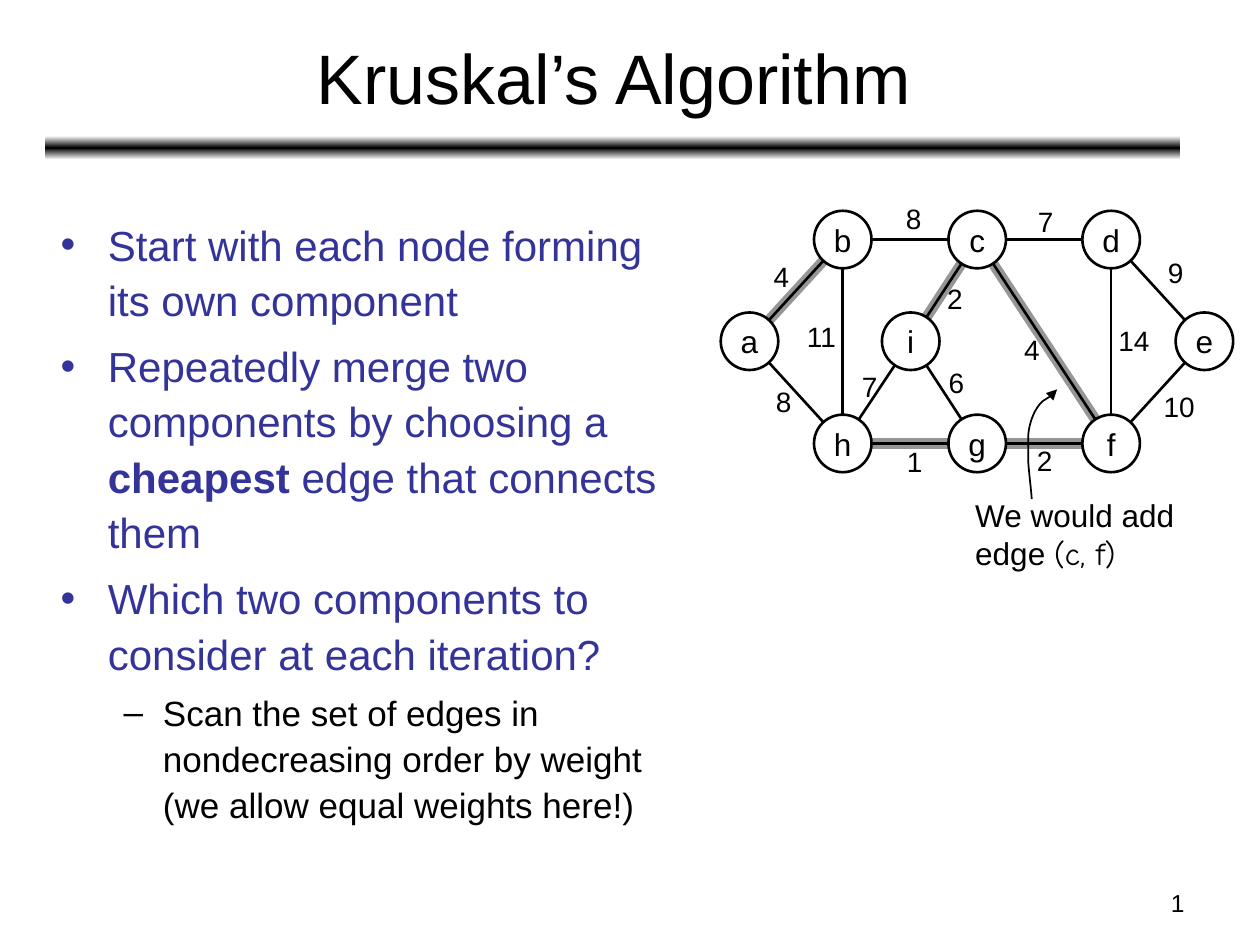
from copy import deepcopy
from math import hypot
from typing import NamedTuple

from lxml import etree
from pptx import Presentation
from pptx.dml.color import RGBColor
from pptx.enum.shapes import MSO_CONNECTOR, MSO_SHAPE
from pptx.enum.text import MSO_ANCHOR, MSO_AUTO_SIZE, PP_ALIGN
from pptx.oxml.ns import qn
from pptx.util import Cm, Pt

OVAL, ROUND = MSO_SHAPE.OVAL, MSO_SHAPE.ROUNDED_RECTANGLE
STRAIGHT = MSO_CONNECTOR.STRAIGHT
MIDDLE = MSO_ANCHOR.MIDDLE
NO_FIT = MSO_AUTO_SIZE.NONE
LEFT, CENTER, RIGHT = PP_ALIGN.LEFT, PP_ALIGN.CENTER, PP_ALIGN.RIGHT

BLACK = RGBColor(0x00, 0x00, 0x00)
WHITE = RGBColor(0xFF, 0xFF, 0xFF)
GRAY = RGBColor(0x96, 0x96, 0x96)
BLUE = RGBColor(0x33, 0x33, 0x99)

RADIUS = 0.58


class Node(NamedTuple):
    x: float
    y: float


class Edge(NamedTuple):
    ends: str
    cost: int
    x: float  # centre of the cost label
    y: float
    chosen: bool = False


class Item(NamedTuple):
    runs: list  # (text, bold)
    level: int = 0


class Style(NamedTuple):
    mark: str
    size: int
    color: RGBColor
    left: float
    hang: float
    before: int


TOP, MID, LOW = 4.83, 6.88, 8.94
NODES = {
    "a": Node(15.11, MID), "b": Node(16.99, TOP), "c": Node(19.7, TOP),
    "d": Node(22.4, TOP), "e": Node(24.28, MID), "h": Node(16.99, LOW),
    "g": Node(19.7, LOW), "f": Node(22.4, LOW), "i": Node(18.36, MID),
}
EDGES = [
    Edge("ab", 4, 15.75, 5.58, True), Edge("bc", 8, 18.42, 4.41),
    Edge("cd", 7, 21.08, 4.46), Edge("ah", 8, 15.8, 8.09),
    Edge("bh", 11, 16.56, 6.79), Edge("hg", 1, 18.44, 9.31, True),
    Edge("gf", 2, 21.06, 9.28, True), Edge("hi", 7, 17.53, 7.79),
    Edge("ci", 2, 19.25, 6.03, True), Edge("cf", 4, 20.8, 7.05, True),
    Edge("df", 14, 22.86, 6.87), Edge("de", 9, 23.7, 5.5),
    Edge("ef", 10, 23.77, 8.19), Edge("ig", 6, 19.28, 7.71),
]
# Start point, then three Bezier points for each piece
CURVE = [
    (20.8, 10.06), (20.78, 9.8), (20.75, 9.58), (20.73, 9.32),
    (20.73, 9.14), (20.73, 8.97), (20.73, 8.76),
    (20.75, 8.53), (20.85, 8.23), (21.03, 8.08),
    (21.08, 8.05), (21.11, 8.03), (21.16, 8.0), (21.31, 7.85),
    (21.31, 7.85), (21.31, 7.85),
]
STYLES = [
    Style("•", 24, BLUE, 0.95, 0.95, 6),
    Style("–", 20, BLACK, 2.06, 0.79, 5),
]
ITEMS = [
    Item([("Start with each node forming its own component", False)]),
    Item([("Repeatedly merge two components by choosing a ", False),
          ("cheapest", True), (" edge that connects them", False)]),
    Item([("Which two components to consider at each iteration?", False)]),
    Item([("Scan the set of edges in nondecreasing order by weight "
           "(we allow equal weights here!)", False)], 1),
]


def place(shape, x: float, y: float, w: float, h: float) -> None:
    shape.left, shape.top, shape.width, shape.height = map(Cm, (x, y, w, h))


def set_font(para, size: int, color: RGBColor = BLACK) -> None:
    font = para.font
    font.name, font.size, font.color.rgb = "Arial", Pt(size), color


def add_text(slide, text: str, box: tuple, size: int, align=LEFT,
             wrap: bool = False):
    frame = slide.shapes.add_textbox(*map(Cm, box)).text_frame
    frame.word_wrap = wrap
    frame.text = text
    for para in frame.paragraphs:
        para.alignment = align
        set_font(para, size)
    return frame


def add_edge(slide, edge: Edge, color: RGBColor, width: float) -> None:
    a, b = (NODES[name] for name in edge.ends)
    gap = hypot(b.x - a.x, b.y - a.y)
    dx, dy = (b.x - a.x) * RADIUS / gap, (b.y - a.y) * RADIUS / gap
    line = slide.shapes.add_connector(
        STRAIGHT, Cm(a.x + dx), Cm(a.y + dy), Cm(b.x - dx), Cm(b.y - dy))
    line.line.color.rgb, line.line.width = color, Pt(width)
    etree.SubElement(line._element.spPr, qn("a:effectLst"))


def add_node(slide, name: str, node: Node) -> None:
    oval = slide.shapes.add_shape(
        OVAL, Cm(node.x - RADIUS), Cm(node.y - RADIUS),
        Cm(2 * RADIUS), Cm(2 * RADIUS))
    oval.shadow.inherit = False
    oval.fill.background()
    oval.line.color.rgb, oval.line.width = BLACK, Pt(1.5)
    frame = oval.text_frame
    frame.word_wrap, frame.vertical_anchor = False, MIDDLE
    frame.text = name
    frame.paragraphs[0].alignment = CENTER
    set_font(frame.paragraphs[0], 18)


def add_curve(slide, knots: list, steps: int = 8) -> None:
    points = []
    for k in range(0, len(knots) - 1, 3):
        for n in range(1, steps + 1):
            t = n / steps
            parts = ((1 - t) ** 3, 3 * t * (1 - t) ** 2,
                     3 * t * t * (1 - t), t ** 3)
            points.append(tuple(
                Cm(sum(p * knot[axis] for p, knot in zip(parts, knots[k:k + 4])))
                for axis in (0, 1)))
    pen = slide.shapes.build_freeform(*map(Cm, knots[0]))
    pen.add_line_segments(points, close=False)
    curve = pen.convert_to_shape()
    curve.shadow.inherit = False
    curve.fill.background()
    curve.line.color.rgb, curve.line.width = BLACK, Pt(1)
    etree.SubElement(curve.line._get_or_add_ln(), qn("a:tailEnd"), type="triangle")


def add_bar(slide) -> None:
    bar = slide.shapes.add_shape(ROUND, Cm(0.91), Cm(2.74), Cm(22.89), Cm(0.48))
    bar.shadow.inherit = False
    bar.line.fill.background()
    bar.fill.gradient()
    bar.fill.gradient_angle = 90
    stops = bar._element.spPr.find(".//" + qn("a:gsLst"))
    stops.append(deepcopy(stops[-1]))
    for stop, color, spot in zip(bar.fill.gradient_stops,
                                 (WHITE, BLACK, WHITE), (0, 0.5, 1)):
        stop.color.rgb, stop.position = color, spot


def fill_item(para, item: Item) -> None:
    style = STYLES[item.level]
    para.level = item.level
    para.line_spacing, para.space_before = 1.1, Pt(style.before)
    props = para._p.get_or_add_pPr()
    props.set("marL", str(Cm(style.left)))
    props.set("indent", str(-Cm(style.hang)))
    tint = etree.SubElement(props, qn("a:buClr"))
    etree.SubElement(tint, qn("a:srgbClr"), val=str(style.color))
    etree.SubElement(props, qn("a:buFont"), typeface="Arial")
    etree.SubElement(props, qn("a:buChar"), char=style.mark)
    set_font(para, style.size, style.color)
    for text, bold in item.runs:
        run = para.add_run()
        run.text = text
        if bold:
            run.font.bold = True


def main() -> None:
    deck = Presentation()
    deck.slide_width, deck.slide_height = Cm(25.4), Cm(19.05)
    slide = deck.slides.add_slide(deck.slide_layouts[1])
    add_bar(slide)

    # Title and list
    title, body = slide.placeholders
    place(title, 0.94, 0.28, 22.86, 2.51)
    title.text_frame.text = "Kruskal’s Algorithm"
    title.text_frame.vertical_anchor = MIDDLE
    set_font(title.text_frame.paragraphs[0], 40)
    place(body, 0.97, 4.19, 13.13, 13.11)
    frame = body.text_frame
    frame.auto_size = NO_FIT
    for n, item in enumerate(ITEMS):
        fill_item(frame.add_paragraph() if n else frame.paragraphs[0], item)

    # Graph: chosen edges lie under the nodes and lines
    for edge in EDGES:
        if edge.chosen:
            add_edge(slide, edge, GRAY, 6)
    for name, node in NODES.items():
        add_node(slide, name, node)
    for edge in EDGES:
        add_edge(slide, edge, BLACK, 1.5)
    for edge in EDGES:
        wide = 0.85 if edge.cost < 10 else 1.25
        add_text(slide, str(edge.cost),
                 (edge.x - wide / 2, edge.y - 0.47, wide, 0.94), 16, CENTER)

    # Note with its arrow, and the page number
    note = add_text(slide, "We would add\nedge ", (19.41, 9.88, 4.52, 1.78), 18)
    pair = note.paragraphs[1].add_run()
    pair.text, pair.font.name = "(c, f)", "Comic Neue"
    add_curve(slide, CURVE)
    add_text(slide, "1", (18.21, 17.78, 5.92, 0.89), 14, RIGHT, True)
    deck.save("out.pptx")


if __name__ == "__main__":
    main()
